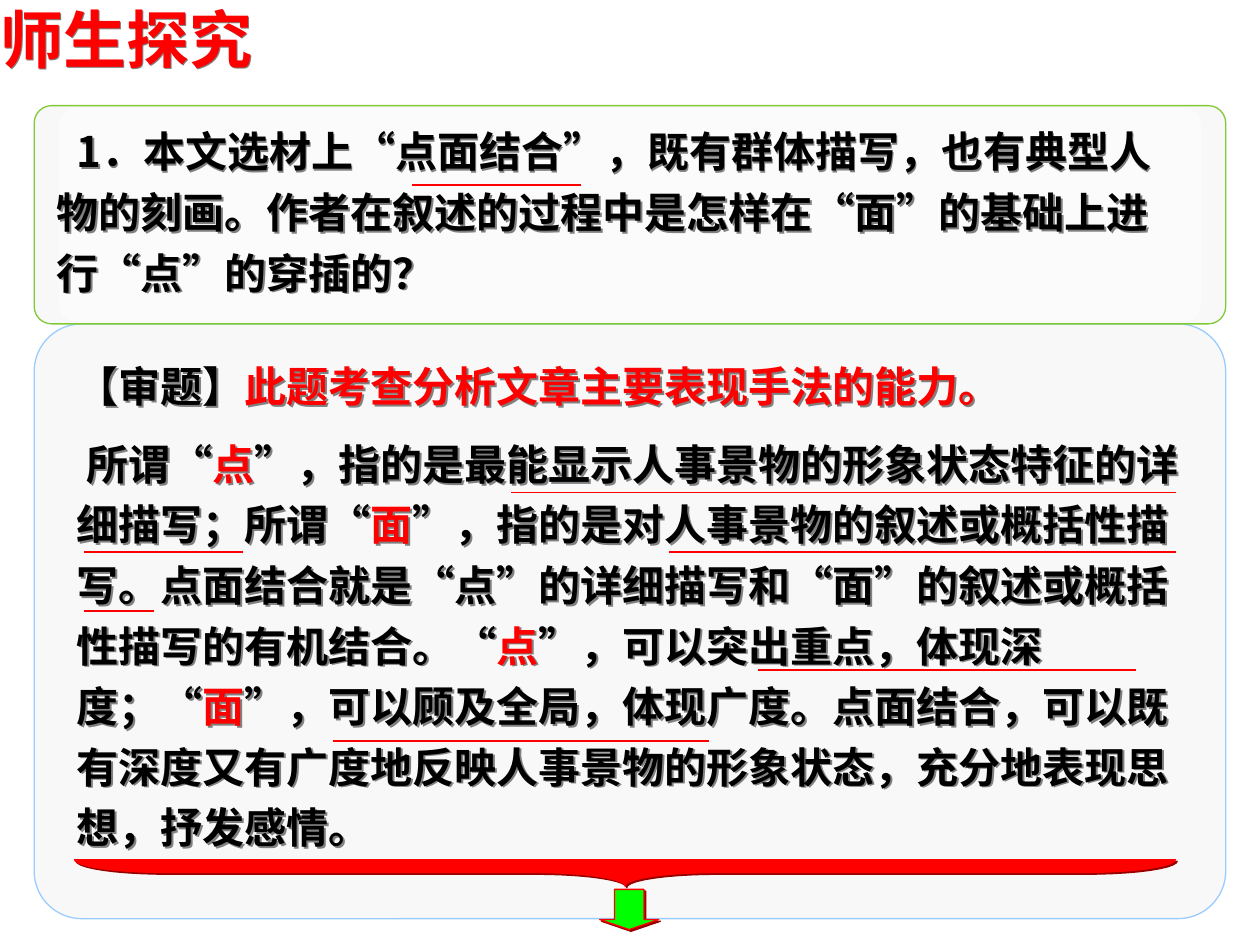
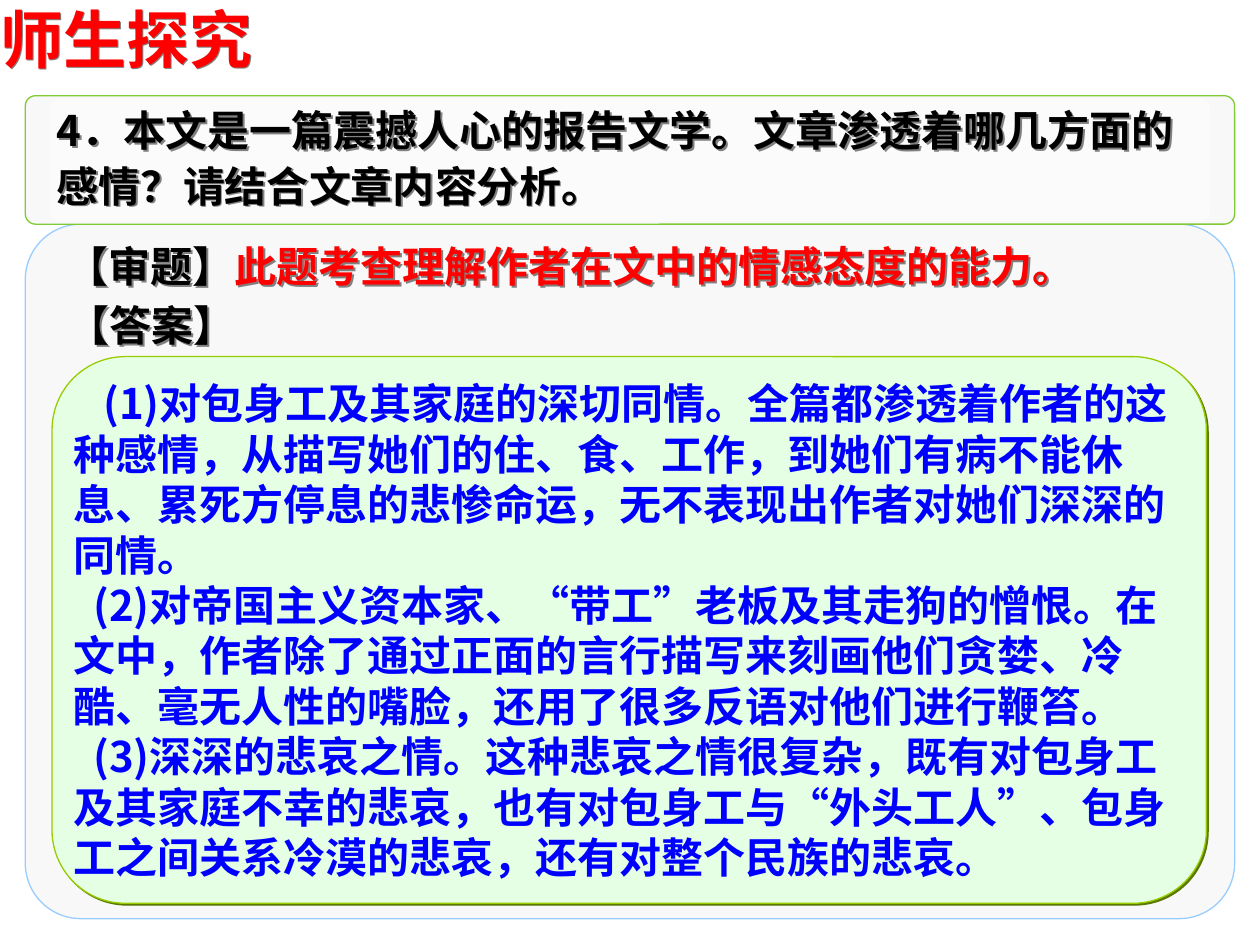
"""Build two lesson slides that discuss questions on a reportage text."""
from math import cos, pi, sin

from lxml.etree import SubElement
from pptx import Presentation
from pptx.dml.color import RGBColor
from pptx.enum.shapes import MSO_CONNECTOR, MSO_SHAPE
from pptx.enum.text import MSO_ANCHOR, MSO_AUTO_SIZE, PP_ALIGN
from pptx.oxml.ns import qn
from pptx.util import Cm, Pt

RED = RGBColor(0xFF, 0x00, 0x00)
BLACK = RGBColor(0x00, 0x00, 0x00)
BLUE = RGBColor(0x00, 0x00, 0xFF)
WHITE = RGBColor(0xFF, 0xFF, 0xFF)
LIME = RGBColor(0x00, 0xFF, 0x00)
PANEL = RGBColor(0xF8, 0xF8, 0xF8)
SKY_EDGE = RGBColor(0x99, 0xCC, 0xFF)
GREEN_EDGE = RGBColor(0x80, 0xCB, 0x35)
MINT = RGBColor(0xE5, 0xFF, 0xE5)
OLIVE_EDGE = RGBColor(0x99, 0xCC, 0x00)
DARK_RED = RGBColor(0x98, 0x00, 0x00)
DARK_OLIVE = RGBColor(0x5B, 0x79, 0x00)
GREY = RGBColor(0x80, 0x80, 0x80)

CJK = "Noto Sans CJK SC"
LATIN = "Arial"
SLIDE_WIDTH, SLIDE_HEIGHT = 25.4, 19.05
PANEL_BOTTOM = 18.52
LINE_HEIGHT = 1.2

TITLE = "师生探究"

# Words between bars are emphasised in red.
METHOD = {
    "margin": 0.69, "question_top": 2.13, "analysis_top": 6.53,
    "texts": [
        (["1．本文选材上“点面结合”，既有群体描写，也有典型人物的刻画。作者在叙述的过程中是怎样在“面”的基础上进行“点”的穿插的？"],
         (0.89, 2.21, 23.39, 3.91), dict(spacing=1.2, indents=[0.4])),
        (["【审题】|此题考查分析文章主要表现手法的能力。"],
         (1.3, 7.14, 22.81, 1.27), dict(font=LATIN)),
        (["所谓“|点|”，指的是最能显示人事景物的形象状态特征的详细描写；所谓“|面|”，指的是对人事景物的叙述或概括性描写。"
          "点面结合就是“点”的详细描写和“面”的叙述或概括性描写的有机结合。“|点|”，可以突出重点，体现深度；“|面|”，"
          "可以顾及全局，体现广度。点面结合，可以既有深度又有广度地反映人事景物的形象状态，充分地表现思想，抒发感情。"],
         (1.3, 8.51, 23.01, 8.79), dict(spacing=1.2, indents=[0.2])),
    ],
}
UNDERLINES = [
    (8.31, 11.71, 3.73), (10.31, 23.7, 9.93), (1.7, 4.9, 11.13),
    (13.49, 23.7, 11.13), (1.7, 3.1, 12.32), (15.29, 22.91, 13.51),
    (6.71, 14.3, 14.94),
]
BRACE = (1.5, 17.32, 22.2, 0.54)
ARROW = (12.09, 17.93, 1.19, 0.81)

FEELING = {
    "margin": 0.51, "question_top": 1.93, "analysis_top": 4.52,
    "texts": [
        (["4．本文是一篇震撼人心的报告文学。文章渗透着哪几方面的感情？请结合文章内容分析。"],
         (0.9, 1.88, 23.8, 2.49), dict(spacing=1.1)),
        (["【审题】|此题考查理解作者在文中的情感态度的能力。"],
         (1.09, 4.72, 22.61, 1.27), dict(font=LATIN)),
        (["【答案】"], (1.12, 5.92, 3.89, 1.27), dict(font=LATIN, wrap=False)),
    ],
}
ANSWERS = [
    "(1)对包身工及其家庭的深切同情。全篇都渗透着作者的这种感情，从描写她们的住、食、工作，到她们有病不能休息、"
    "累死方停息的悲惨命运，无不表现出作者对她们深深的同情。",
    "(2)对帝国主义资本家、“带工”老板及其走狗的憎恨。在文中，作者除了通过正面的言行描写来刻画他们贪婪、冷酷、"
    "毫无人性的嘴脸，还用了很多反语对他们进行鞭笞。",
    "(3)深深的悲哀之情。这种悲哀之情很复杂，既有对包身工及其家庭不幸的悲哀，也有对包身工与“外头工人”、"
    "包身工之间关系冷漠的悲哀，还有对整个民族的悲哀。",
]
ANSWER_BOX = (1.05, 7.19, 23.27, 11.02)


def cast_shadow(shape, color):
    """Give a shape, or its text if unfilled, a short hard shadow."""
    shape.shadow.inherit = False
    effects = shape._element.spPr.find(qn("a:effectLst"))
    shadow = SubElement(effects, qn("a:outerShdw"), dist="17960", dir="2700000", algn="ctr")
    SubElement(shadow, qn("a:srgbClr"), val=str(color))


def write(frame, paragraphs, *, size=24, font=CJK, color=BLACK, spacing=1.0,
          indents=(), wrap=True, insets=(0.25, 0.13, 0.25, 0.13),
          anchor=MSO_ANCHOR.MIDDLE):
    """Fill a text frame, with words between bars in red."""
    frame.word_wrap = wrap
    frame.auto_size = MSO_AUTO_SIZE.NONE
    frame.vertical_anchor = anchor
    (frame.margin_left, frame.margin_top,
     frame.margin_right, frame.margin_bottom) = map(Cm, insets)
    for index, text in enumerate(paragraphs):
        paragraph = frame.add_paragraph() if index else frame.paragraphs[0]
        paragraph.alignment = PP_ALIGN.LEFT
        paragraph.line_spacing = Pt(round(size * LINE_HEIGHT * spacing, 1))
        paragraph.space_before = Pt(0)
        properties = paragraph._p.get_or_add_pPr()
        properties.set("hangingPunct", "0")
        if indents:
            properties.set("marL", "0")
            properties.set("indent", str(Cm(indents[index])))
        for position, piece in enumerate(text.split("|")):
            run = paragraph.add_run()
            run.text = piece
            run.font.size, run.font.bold = Pt(size), True
            run.font.color.rgb = RED if position % 2 else color
            run.font.name = font
            SubElement(run._r.get_or_add_rPr(), qn("a:ea"), typeface=CJK)


def paint(shape, fill, edge=None, shadow=None):
    """Give a shape its fill, outline and shadow."""
    shape.shadow.inherit = False
    shape.fill.solid()
    shape.fill.fore_color.rgb = fill
    if edge is None:
        shape.line.fill.background()
    else:
        shape.line.color.rgb = edge
        shape.line.width = Pt(0.75)
    if shadow is not None:
        cast_shadow(shape, shadow)


def rounded(shapes, box, fill, edge=None, radius=0.08, shadow=None):
    """Add a rounded rectangle."""
    shape = shapes.add_shape(MSO_SHAPE.ROUNDED_RECTANGLE, *map(Cm, box))
    shape.adjustments[0] = radius
    paint(shape, fill, edge, shadow)
    return shape


def add_lesson_slide(deck, lesson):
    """Add a titled slide with its question and analysis panels."""
    slide = deck.slides.add_slide(deck.slide_layouts[5])
    title = slide.shapes.title
    title.left, title.top, title.width, title.height = map(Cm, (0, 0, 8.51, 1.52))
    title.fill.background()
    cast_shadow(title, GREY)
    write(title.text_frame, [TITLE], size=36, font=LATIN, color=RED,
          insets=(0, 0, 0, 0), anchor=MSO_ANCHOR.TOP)

    left, top, split = lesson["margin"], lesson["question_top"], lesson["analysis_top"]
    width = SLIDE_WIDTH - 2 * left
    rounded(slide.shapes, (left, split, width, PANEL_BOTTOM - split), PANEL, SKY_EDGE)
    question = slide.shapes.add_group_shape().shapes
    rounded(question, (left, top, width, split - top), PANEL, GREEN_EDGE)
    sheen = rounded(question, (left + 0.5, top + 0.05, width - 1, split - top - 0.1), WHITE)
    SubElement(sheen._element.spPr.find(qn("a:solidFill"))[0], qn("a:alpha"), val="50000")

    for paragraphs, place, style in lesson["texts"]:
        box = slide.shapes.add_textbox(*map(Cm, place))
        cast_shadow(box, GREY)
        write(box.text_frame, paragraphs, **style)
    return slide


def underline(slide, start, end, y):
    """Draw a thin red rule under key words."""
    rule = slide.shapes.add_connector(MSO_CONNECTOR.STRAIGHT, Cm(start), Cm(y), Cm(end), Cm(y))
    rule.line.color.rgb = RED
    rule.line.width = Pt(1)
    SubElement(rule._element.spPr, qn("a:effectLst"))


def add_brace(slide, left, top, width, height, steps=10):
    """Draw a filled brace whose tip points down."""
    curve, drop = width / 12, height / 2
    angles = [step * pi / 2 / steps for step in range(steps + 1)]
    half = [(left + curve * (1 - cos(a)), top + drop * sin(a)) for a in angles]
    half += [(left + width / 2 - curve * (1 - sin(a)), top + drop * (2 - cos(a)))
             for a in angles]
    mirrored = [(2 * left + width - x, y) for x, y in reversed(half[:-1])]
    points = [(Cm(x), Cm(y)) for x, y in half + mirrored]
    builder = slide.shapes.build_freeform(*points[0])
    builder.add_line_segments(points[1:], close=False)
    paint(builder.convert_to_shape(), RED, RED, DARK_RED)


def main():
    """Build and save the deck."""
    deck = Presentation()
    deck.slide_width, deck.slide_height = Cm(SLIDE_WIDTH), Cm(SLIDE_HEIGHT)

    method = add_lesson_slide(deck, METHOD)
    for start, end, y in UNDERLINES:
        underline(method, start, end, y)
    add_brace(method, *BRACE)
    arrow = method.shapes.add_shape(MSO_SHAPE.DOWN_ARROW, *map(Cm, ARROW))
    arrow.adjustments[1] = 0.25
    paint(arrow, LIME, RED, DARK_RED)

    feeling = add_lesson_slide(deck, FEELING)
    answers = rounded(feeling.shapes, ANSWER_BOX, MINT, OLIVE_EDGE, 0.134, DARK_OLIVE)
    write(answers.text_frame, ANSWERS, color=BLUE, indents=[0.6, 0.4, 0.4],
          insets=(0, 0, 0, 0))

    deck.save("out.pptx")


if __name__ == "__main__":
    main()
